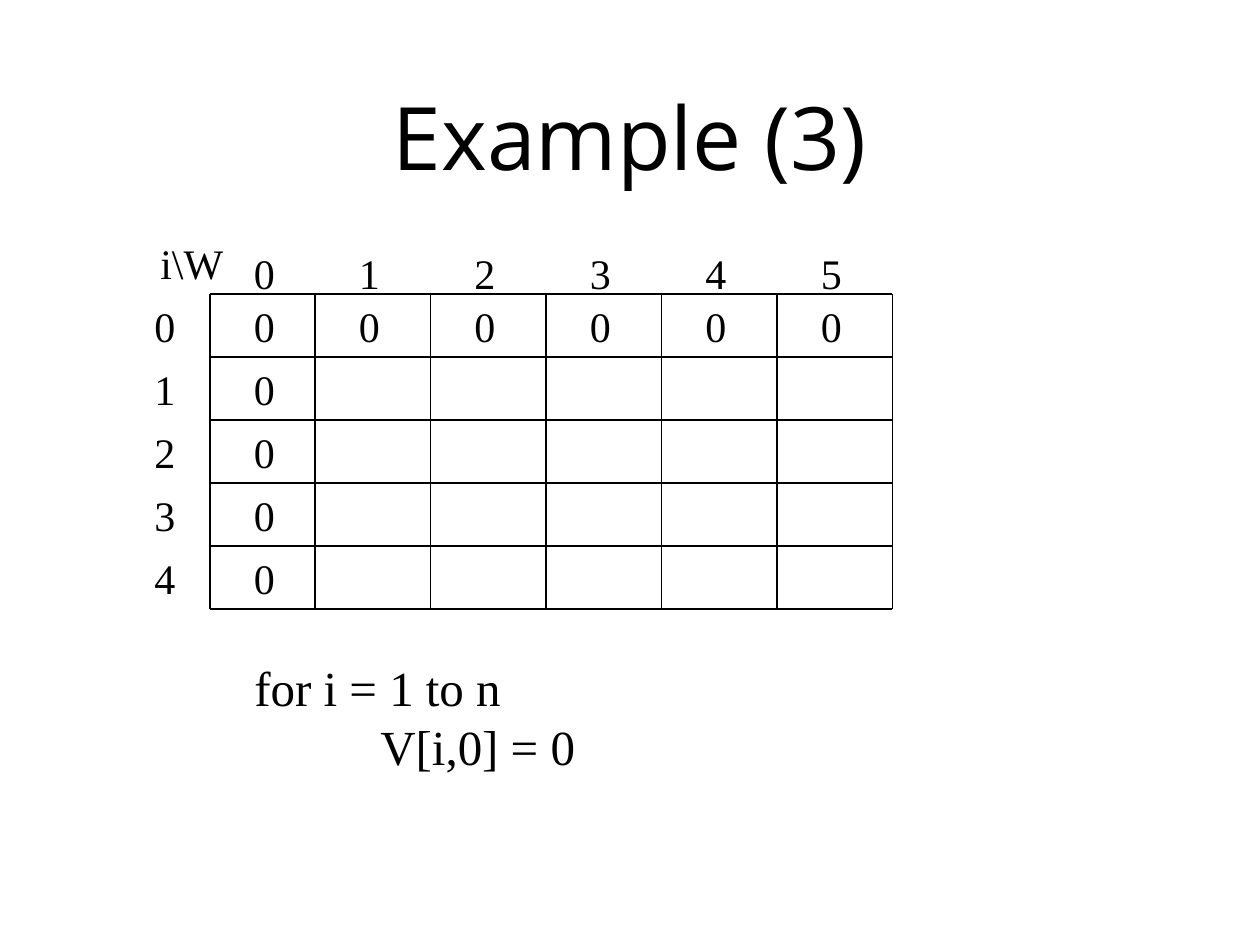
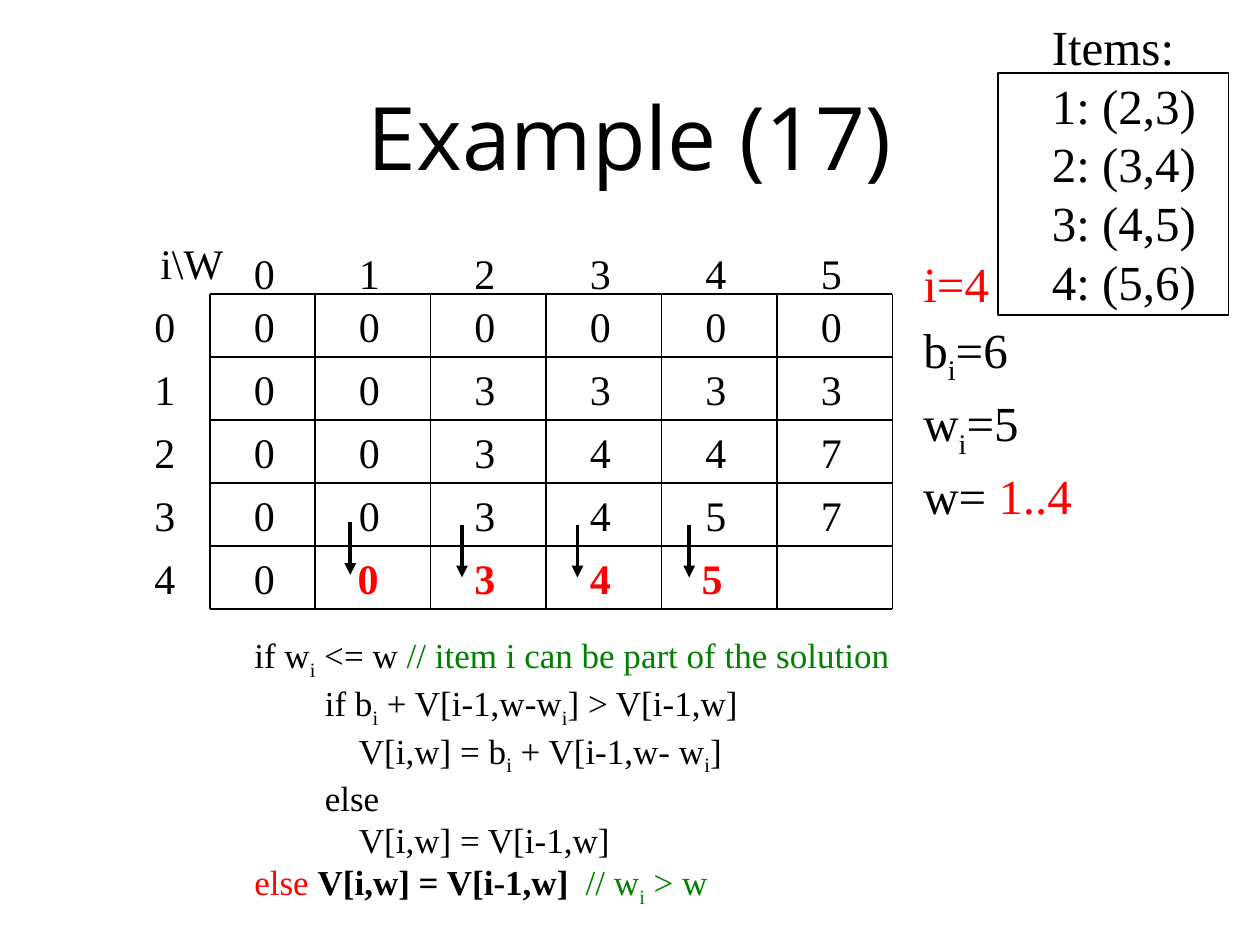
from lxml import etree
from pptx import Presentation
from pptx.dml.color import RGBColor
from pptx.enum import shapes, text
from pptx.oxml import ns
from pptx.util import Inches, Pt

HUES = {"ink": "000000", "hot": "FF0000", "note": "008000"}
SERIF, SANS = "Times New Roman", "Open Sans"
COLS, ROWS = 6, 5
FIRST, WIDE, HIGH = 5 / 6, 11 / 12, 0.5  # first column, other columns, rows
GRID = (5 / 3, 7 / 3, FIRST + 5 * WIDE, ROWS * HIGH)
INSET = 0.25  # from a column's left side to its text


def hue(name):
    return RGBColor.from_string(HUES[name])


def add_run(para, words, size, color="ink", bold=False, font=SERIF):
    """Add runs; parts between tildes are subscripts."""
    for n, part in enumerate(words.split("~")):
        if part:
            run = para.add_run()
            run.text = part
            run.font.size, run.font.name = Pt(size), font
            run.font.bold, run.font.color.rgb = bold, hue(color)
            if n % 2:
                run._r.get_or_add_rPr().set("baseline", "-25000")


def add_text(slide, box, lines, size, space=None, align=None, tab=None):
    """Each line is (indent, run, run, ...); a run is (words, color, bold)."""
    frame = slide.shapes.add_textbox(*map(Inches, box)).text_frame
    frame.word_wrap = True
    for n, (indent, *runs) in enumerate(lines):
        para = frame.add_paragraph() if n else frame.paragraphs[0]
        para.line_spacing, para.alignment = space, align
        props = para._p.get_or_add_pPr()
        if indent:
            props.set("marL", str(Inches(indent)))
        if tab:
            stops = etree.SubElement(props, ns.qn("a:tabLst"))
            etree.SubElement(stops, ns.qn("a:tab"), pos=str(Inches(tab)),
                             algn="l")
        for words, *look in runs:
            add_run(para, words, size, *look)


def add_line(slide, ends, width=0.75, head=False):
    line = slide.shapes.add_connector(
        shapes.MSO_CONNECTOR.STRAIGHT, *map(Inches, ends))
    line.line.width, line.line.color.rgb = Pt(width), hue("ink")
    if head:
        etree.SubElement(line.line._get_or_add_ln(), ns.qn("a:tailEnd"),
                         type="triangle")
    etree.SubElement(line._element.spPr, ns.qn("a:effectLst"))


def add_title(slide, words):
    title = slide.shapes.title
    title.left, title.top, title.width, title.height = map(
        Inches, (0.69, 0.4, 8.62, 1.45))
    frame = title.text_frame
    frame.auto_size = text.MSO_AUTO_SIZE.NONE
    frame.vertical_anchor = text.MSO_ANCHOR.MIDDLE
    para = frame.paragraphs[0]
    para.alignment, para.line_spacing = text.PP_ALIGN.CENTER, 0.9
    add_run(para, words, 50, font=SANS)


def col_left(box, col):
    return box[0] + (FIRST + (col - 1) * WIDE if col else 0)


def add_digit(slide, x, y, digit, *look):
    add_text(slide, (x, y, 0.37, HIGH), [(0, (digit, *look))], 24)


def add_grid(slide, box, rows, fresh=None):
    """Rule the grid and fill it; fresh maps bold red cells to a shift."""
    left, top, width, high = box
    fresh = fresh or {}
    for c in range(COLS + 1):
        x = col_left(box, c)
        add_line(slide, (x, top, x, top + high))
    for r in range(ROWS + 1):
        y = top + r * HIGH
        add_line(slide, (left, y, left + width, y))

    # Values
    for r, row in enumerate(rows):
        for c, digit in enumerate(row):
            x = col_left(box, c) + INSET + fresh.get((r, c), 0)
            look = ("hot", True) if (r, c) in fresh else ()
            add_digit(slide, x, top + r * HIGH, digit, *look)

    # Labels above and beside the grid
    for c in range(COLS):
        add_digit(slide, col_left(box, c) + INSET, top - 5 / 12, str(c))
    for r in range(ROWS):
        add_digit(slide, left - 0.54, top + r * HIGH, str(r))
    add_text(slide, (left - 0.52, top - 0.5, 0.75, HIGH), [(0, ("i\\W",))],
             24, align=text.PP_ALIGN.CENTER)


def add_arrows(slide, box, row, shifts):
    """Point from the row above down into the given row."""
    for col, (right, up) in enumerate(shifts, 1):
        x, y = col_left(box, col) + right, box[1] + row * HIGH - up
        add_line(slide, (x, y, x, y + 0.42), 2.25, head=True)


def add_items(slide, box):
    left, top = box[:2]
    lines = ("Items:", "1: (2,3)", "2: (3,4)", "3: (4,5)", "4: (5,6)")
    add_text(slide, (left + 0.33, top - 0.5, 1.44, 2.44),
             [(0, (line,)) for line in lines], 28)
    frame = slide.shapes.add_shape(
        shapes.MSO_SHAPE.RECTANGLE, *map(Inches, box))
    frame.shadow.inherit = False
    frame.fill.background()
    frame.line.width, frame.line.color.rgb = Pt(0.75), hue("ink")


def first_col(slide):
    add_title(slide, "Example (3)")
    add_grid(slide, GRID, ["000000"] + ["0"] * 4)
    add_text(slide, (1.92, 5.17, 3.75, 1.03),
             [(0, ("for i = 1 to n",)), (1, ("V[i,0] = 0",))], 28)


def last_row(slide):
    add_title(slide, "Example (17)")
    add_items(slide, (7.92, 0.58, 1.83, 1.92))
    rows = ["000000", "003333", "003447", "003457", "00345"]
    add_grid(slide, GRID, rows,
             {(4, 1): -0.01, (4, 2): 0, (4, 3): 0, (4, 4): -0.03})
    add_arrows(slide, GRID, 4, (
        (0.28, 0.19), (0.25, 0.17), (0.25, 0.17), (0.22, 0.17)))

    # Current state
    add_text(slide, (7.23, 1.92, 1.61, 2.67), [
        (0, ("i=4", "hot")),
        (0, ("b~i~=6",)),
        (0, ("w~i~=5",)),
        (0, ("w= ",), ("1..4", "hot")),
    ], 28, space=1.1)

    # Algorithm
    add_text(slide, (1.92, 4.98, 7.58, 2.1), [
        (0, ("if w~i~ <= w ",),
         ("// item i can be part of the solution", "note")),
        (0.56, ("if b~i~ + V[i-1,w-w~i~] > V[i-1,w]",)),
        (0.83, ("V[i,w] = b~i~ + V[i-1,w- w~i~]",)),
        (0.56, ("else",)),
        (0.83, ("V[i,w] = V[i-1,w]",)),
        (0, ("else ", "hot"), ("V[i,w] = V[i-1,w]", "ink", True),
         ("\t// w~i~ > w", "note")),
    ], 20, tab=2.63)


def main():
    deck = Presentation()
    deck.slide_width, deck.slide_height = Inches(10), Inches(7.5)
    for build in (first_col, last_row):
        build(deck.slides.add_slide(deck.slide_layouts[5]))
    deck.save("out.pptx")


if __name__ == "__main__":
    main()
